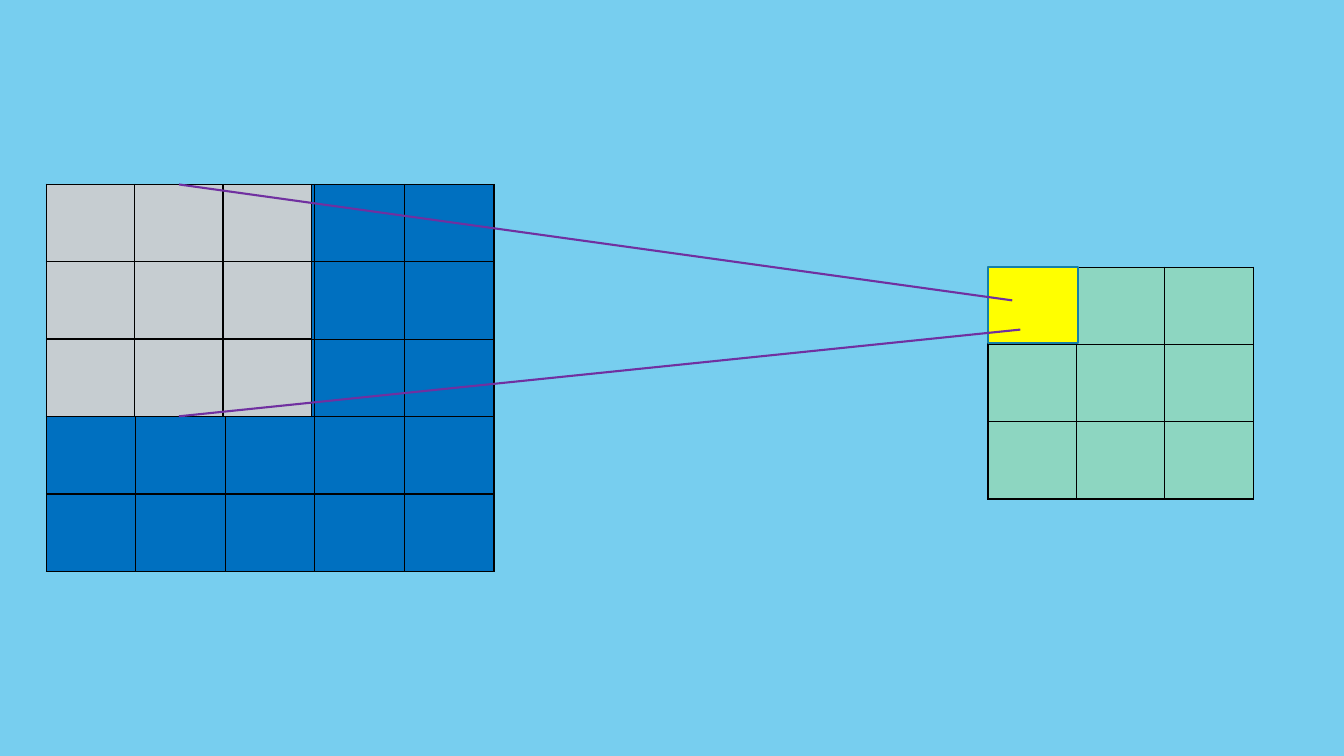
from dataclasses import dataclass

from lxml import etree
from pptx import Presentation
from pptx.dml.color import RGBColor
from pptx.enum.shapes import MSO_CONNECTOR, MSO_SHAPE
from pptx.oxml.ns import qn
from pptx.slide import Slide
from pptx.table import _Cell
from pptx.util import Inches, Pt

RECTANGLE = MSO_SHAPE.RECTANGLE
STRAIGHT = MSO_CONNECTOR.STRAIGHT

SKY = RGBColor(0x77, 0xCE, 0xEF)
BLUE = RGBColor(0x00, 0x70, 0xC0)
GREY = RGBColor(0xC6, 0xCD, 0xD1)
GREEN = RGBColor(0x8D, 0xD6, 0xC1)
YELLOW = RGBColor(0xFF, 0xFF, 0x00)
TEAL = RGBColor(0x15, 0x80, 0xA9)
PURPLE = RGBColor(0x70, 0x30, 0xA0)
BLACK = RGBColor(0x00, 0x00, 0x00)

TABLE_FORMAT = {"first_row": False, "horz_banding": False}
BORDER_SIDES = ("a:lnL", "a:lnR", "a:lnT", "a:lnB")


@dataclass(frozen=True)
class Grid:
    left: float
    top: float
    width: float
    height: float
    size: int
    color: RGBColor


@dataclass(frozen=True)
class Projection:
    start: tuple[float, float]
    end: tuple[float, float]


INPUT_GRID = Grid(0.46, 1.83, 4.44, 3.84, 5, BLUE)
FILTER_GRID = Grid(0.46, 1.83, 2.63, 2.3, 3, GREY)
OUTPUT_GRID = Grid(9.8, 2.65, 2.63, 2.3, 3, GREEN)

# The projections leave the middle of the filter's top and bottom edges
FILTER_MIDDLE = FILTER_GRID.left + FILTER_GRID.width / 2
FILTER_BOTTOM = FILTER_GRID.top + FILTER_GRID.height
PROJECTIONS = (
    Projection((FILTER_MIDDLE, FILTER_GRID.top), (10.04, 2.98)),
    Projection((FILTER_MIDDLE, FILTER_BOTTOM), (10.12, 3.27)),
)


def add_borders(cell: _Cell) -> None:
    properties = cell._tc.get_or_add_tcPr()
    for side in BORDER_SIDES:
        border = etree.SubElement(properties, qn(side), w=str(Pt(1)))
        fill = etree.SubElement(border, qn("a:solidFill"))
        etree.SubElement(fill, qn("a:srgbClr"), val=str(BLACK))


def draw_grid(slide: Slide, grid: Grid) -> None:
    bounds = map(Inches, (grid.left, grid.top, grid.width, grid.height))
    table = slide.shapes.add_table(grid.size, grid.size, *bounds).table
    for name, value in TABLE_FORMAT.items():
        setattr(table, name, value)
    for cell in table.iter_cells():
        add_borders(cell)
        cell.fill.solid()
        cell.fill.fore_color.rgb = grid.color


def draw_output_cell(slide: Slide) -> None:
    bounds = map(Inches, (OUTPUT_GRID.left, OUTPUT_GRID.top, 0.89, 0.75))
    output_cell = slide.shapes.add_shape(RECTANGLE, *bounds)
    output_cell.shadow.inherit = False
    output_cell.fill.solid()
    output_cell.fill.fore_color.rgb = YELLOW
    output_cell.line.color.rgb = TEAL
    output_cell.line.width = Pt(1.25)


def draw_projection(slide: Slide, projection: Projection) -> None:
    ends = map(Inches, projection.start + projection.end)
    ray = slide.shapes.add_connector(STRAIGHT, *ends)
    ray.line.color.rgb = PURPLE
    ray.line.width = Pt(1.5)
    etree.SubElement(ray._element.spPr, qn("a:effectLst"))


def main() -> None:
    presentation = Presentation()
    presentation.slide_width = Inches(13.33)
    presentation.slide_height = Inches(7.5)
    slide = presentation.slides.add_slide(presentation.slide_layouts[6])

    # Background
    slide.background.fill.solid()
    slide.background.fill.fore_color.rgb = SKY

    # Input, filter and output grids
    for grid in (INPUT_GRID, FILTER_GRID, OUTPUT_GRID):
        draw_grid(slide, grid)

    # Output cell computed from the filter
    draw_output_cell(slide)
    for projection in PROJECTIONS:
        draw_projection(slide, projection)

    presentation.save("out.pptx")


if __name__ == "__main__":
    main()
